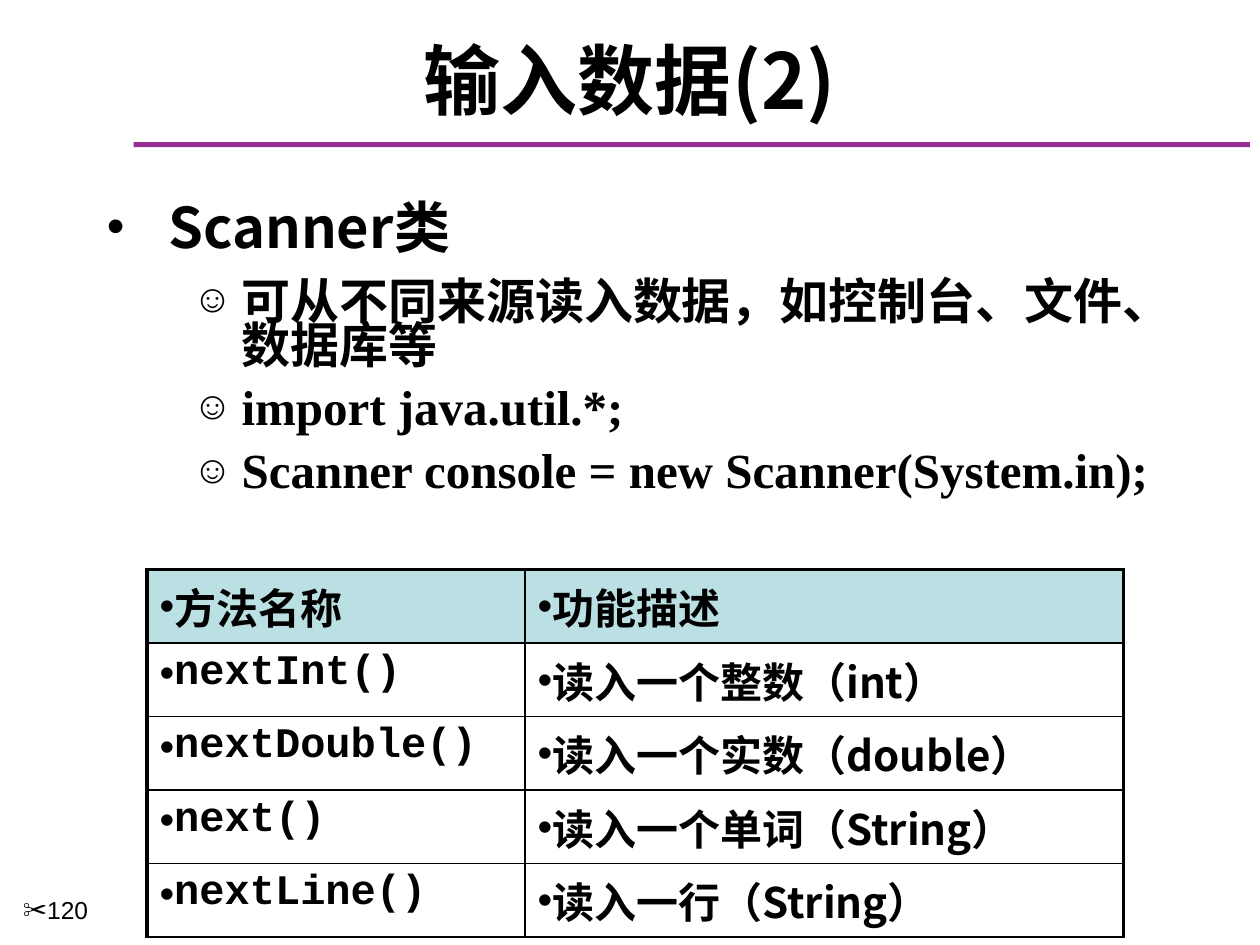
from lxml.etree import SubElement
from pptx import Presentation
from pptx.dml.color import RGBColor
from pptx.enum.shapes import MSO_SHAPE as Preset
from pptx.enum.text import MSO_ANCHOR as Anchor, PP_ALIGN as Align
from pptx.oxml.ns import qn
from pptx.util import Pt

BLACK = RGBColor(0x00, 0x00, 0x00)
PURPLE = RGBColor(0x97, 0x30, 0x95)
PALE_TEAL = RGBColor(0xBB, 0xE0, 0xE3)

SANS = "Noto Sans CJK SC"
SERIF = "Times New Roman"
MONO = "Courier New"
THIN, THICK = 1, 2.25

TOPIC = dict(level=0, line_spacing=0.8)
DETAIL = dict(level=1, line_spacing=0.75, space_before=Pt(14))
CODE = dict(level=1, line_spacing=0.9, space_before=Pt(6))
POINTS = [
    ("Scanner类", SANS, 32, TOPIC),
    ("可从不同来源读入数据，如控制台、文件、数据库等", SANS, 28, DETAIL),
    ("import java.util.*;", SERIF, 28, CODE),
    ("Scanner console = new Scanner(System.in);", SERIF, 28, CODE),
]
BULLETS = [("•", 90, 35, -35), ("☺", 80, 77, -28)]
METHODS = [
    ("方法名称", "功能描述"),
    ("nextInt()", "读入一个整数（int）"),
    ("nextDouble()", "读入一个实数（double）"),
    ("next()", "读入一个单词（String）"),
    ("nextLine()", "读入一行（String）"),
]


def apply(target, values):
    """Set each named value on the target."""
    for name, value in values.items():
        setattr(target, name, value)


def add_bullet(para, char, percent=100, margin=0, indent=0):
    """Give a paragraph a bullet and its hanging indent."""
    props = para._p.get_or_add_pPr()
    props.set("marL", str(Pt(margin)))
    props.set("indent", str(Pt(indent)))
    color = SubElement(props, qn("a:buClr"))
    SubElement(color, qn("a:srgbClr"), val=str(BLACK))
    SubElement(props, qn("a:buSzPct"), val=str(percent * 1000))
    SubElement(props, qn("a:buFont"), typeface="Arial")
    SubElement(props, qn("a:buChar"), char=char)


def write(para, text, face, size, bold=True):
    """Add one styled span of text to a paragraph."""
    span = para.add_run()
    span.text = text
    apply(span.font, dict(name=face, size=Pt(size), bold=bold))
    span.font.color.rgb = BLACK
    SubElement(span._r.get_or_add_rPr(), qn("a:ea"), typeface=SANS)


def add_frame(page, left, top, width, height, anchor=Anchor.TOP):
    """Add a wrapping text box and return its frame."""
    box = page.shapes.add_textbox(Pt(left), Pt(top), Pt(width), Pt(height))
    apply(box.text_frame, dict(word_wrap=True, vertical_anchor=anchor))
    return box.text_frame


def add_rule(page, left, top, width, height):
    """Draw the bar below the title."""
    bar = page.shapes.add_shape(
        Preset.RECTANGLE, Pt(left), Pt(top), Pt(width), Pt(height))
    bar.shadow.inherit = False
    bar.fill.solid()
    bar.fill.fore_color.rgb = PURPLE
    bar.line.fill.background()


def add_title(page, left, top, width, height):
    """Write the centred title."""
    para = add_frame(page, left, top, width, height, Anchor.MIDDLE).paragraphs[0]
    para.alignment = Align.CENTER
    write(para, "输入数据(2)", SANS, 44)


def add_page_number(page, left, top, width, height):
    """Write the page number with its scissors bullet."""
    para = add_frame(page, left, top, width, height).paragraphs[0]
    add_bullet(para, "✂")
    write(para, "120", "Arial", 14, bold=False)


def add_points(page, left, top, width, height):
    """Write the bulleted points in two levels."""
    frame = add_frame(page, left, top, width, height)
    for index, (text, face, size, layout) in enumerate(POINTS):
        para = frame.add_paragraph() if index else frame.paragraphs[0]
        add_bullet(para, *BULLETS[layout["level"]])
        apply(para, layout)
        write(para, text, face, size)


def add_borders(cell, widths):
    """Draw the four cell borders in black."""
    props = cell._tc.get_or_add_tcPr()
    for side, width in widths.items():
        line = SubElement(props, qn(f"a:ln{side}"), w=str(Pt(width)))
        fill = SubElement(line, qn("a:solidFill"))
        SubElement(fill, qn("a:srgbClr"), val=str(BLACK))


def add_methods(page, left, top, widths, row_height):
    """Build the table of methods with a tinted header row."""
    table = page.shapes.add_table(
        len(METHODS), len(widths), Pt(left), Pt(top),
        Pt(sum(widths)), Pt(row_height * len(METHODS))).table
    apply(table, dict(first_row=False, horz_banding=False))
    for column, width in zip(table.columns, widths):
        column.width = Pt(width)
    for row, texts in enumerate(METHODS):
        table.rows[row].height = Pt(row_height)
        for col, text in enumerate(texts):
            cell = table.cell(row, col)
            add_borders(cell, dict(
                L=THIN if col else THICK, R=THICK if col else THIN,
                T=THIN if row else THICK, B=THIN))
            if row:
                cell.fill.background()
            else:
                cell.fill.solid()
                cell.fill.fore_color.rgb = PALE_TEAL
            para = cell.text_frame.paragraphs[0]
            add_bullet(para, "•")
            write(para, text, MONO if row and not col else SANS, 24)


def main():
    """Build the slide and save the deck."""
    deck = Presentation()
    apply(deck, dict(slide_width=Pt(720), slide_height=Pt(540)))
    page = deck.slides.add_slide(deck.slide_layouts[6])
    add_rule(page, 76.3, 81.2, 638, 2.9)
    add_title(page, 12, 18, 696, 54)
    add_page_number(page, 6, 508, 78, 32)
    add_points(page, 54, 114, 624, 222)
    add_methods(page, 84, 325.5, (216, 342), 42)
    deck.save("out.pptx")


if __name__ == "__main__":
    main()
